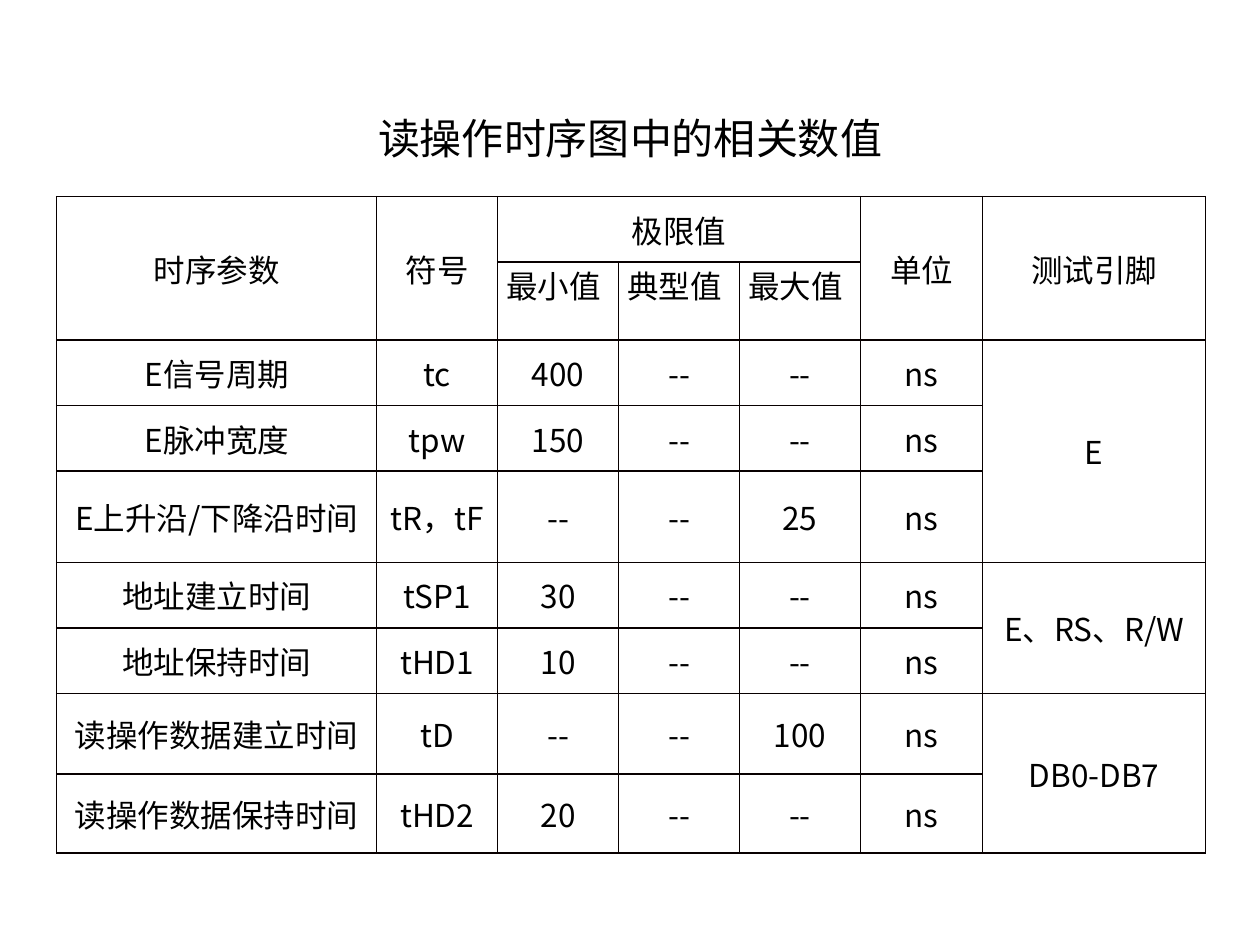
"""Build a slide with the timing values of the read operation."""
from dataclasses import dataclass

from lxml import etree
from pptx import Presentation
from pptx.dml.color import RGBColor
from pptx.enum.text import MSO_ANCHOR, PP_ALIGN
from pptx.oxml.ns import qn
from pptx.util import Inches, Pt

LEFT, CENTER = PP_ALIGN.LEFT, PP_ALIGN.CENTER
TOP, MIDDLE = MSO_ANCHOR.TOP, MSO_ANCHOR.MIDDLE
TITLE_ONLY = 5

TITLE = "读操作时序图中的相关数值"
HEADER = [
    ("时序参数", "符号", "极限值", "", "", "单位", "测试引脚"),
    ("", "", "最小值", "典型值", "最大值", "", ""),
]
PARAMETERS = [
    ("E信号周期", "tc", "400", "--", "--"),
    ("E脉冲宽度", "tpw", "150", "--", "--"),
    ("E上升沿/下降沿时间", "tR，tF", "--", "--", "25"),
    ("地址建立时间", "tSP1", "30", "--", "--"),
    ("地址保持时间", "tHD1", "10", "--", "--"),
    ("读操作数据建立时间", "tD", "--", "--", "100"),
    ("读操作数据保持时间", "tHD2", "20", "--", "--"),
]
UNIT = "ns"
PIN_GROUPS = [("E", 3), ("E、RS、R/W", 2), ("DB0-DB7", 2)]
COLUMN_WIDTHS = [2.54, 0.96, 0.96, 0.96, 0.96, 0.97, 1.77]
ROW_HEIGHTS = [0.52, 0.62, 0.52, 0.52, 0.64, 0.52, 0.52, 0.64, 0.63]
LIMIT_COLUMNS = (2, 3, 4)
PIN_COLUMN = 6


@dataclass(frozen=True)
class Theme:
    text: RGBColor = RGBColor(0, 0, 0)
    border: str = "080000"
    border_width: Pt = Pt(1)
    title_font: str = "Arial"
    table_font: str = "Noto Sans CJK SC"
    title_size: Pt = Pt(24)
    table_size: Pt = Pt(18)


THEME = Theme()


def style_paragraph(paragraph, font_name, size, alignment):
    paragraph.alignment = alignment
    font = paragraph.font
    font.name, font.size, font.bold = font_name, size, False
    font.color.rgb = THEME.text


def set_east_asian_font(paragraph, font_name):
    properties = paragraph._p.get_or_add_pPr().get_or_add_defRPr()
    etree.SubElement(properties, qn("a:ea"), typeface=font_name)


def set_borders(cell):
    properties = cell._tc.get_or_add_tcPr()
    for index, side in enumerate(("lnL", "lnR", "lnT", "lnB")):
        line = etree.Element(qn(f"a:{side}"), w=str(THEME.border_width))
        fill = etree.SubElement(line, qn("a:solidFill"))
        etree.SubElement(fill, qn("a:srgbClr"), val=THEME.border)
        properties.insert(index, line)


def fill_cell(cell, text, is_limit_name):
    cell.fill.background()
    set_borders(cell)
    cell.margin_left = cell.margin_right = Inches(0.07)
    cell.margin_top = cell.margin_bottom = 0
    cell.vertical_anchor = TOP if is_limit_name else MIDDLE
    cell.text = text
    paragraph = cell.text_frame.paragraphs[0]
    alignment = LEFT if is_limit_name else CENTER
    style_paragraph(paragraph, THEME.table_font, THEME.table_size, alignment)
    set_east_asian_font(paragraph, THEME.table_font)


def add_title(slide):
    title = slide.shapes.title
    title.left, title.top = Inches(2.9), Inches(0.84)
    title.width, title.height = Inches(4.31), Inches(0.5)
    frame = title.text_frame
    frame.text = TITLE
    frame.word_wrap = True
    frame.vertical_anchor = MIDDLE
    style_paragraph(frame.paragraphs[0], THEME.title_font, THEME.title_size, LEFT)


def add_timing_table(slide):
    pins = [pin if index == 0 else "" for pin, count in PIN_GROUPS for index in range(count)]
    rows = HEADER + [(*values, UNIT, pin) for values, pin in zip(PARAMETERS, pins)]
    table = slide.shapes.add_table(
        len(rows), len(COLUMN_WIDTHS), Inches(0.45), Inches(1.56),
        Inches(sum(COLUMN_WIDTHS)), Inches(sum(ROW_HEIGHTS)),
    ).table
    table.first_row = table.horz_banding = False
    for column, width in zip(table.columns, COLUMN_WIDTHS):
        column.width = Inches(width)
    for row, height in zip(table.rows, ROW_HEIGHTS):
        row.height = Inches(height)
    for row_index, row in enumerate(rows):
        for column_index, text in enumerate(row):
            is_limit_name = row_index == 1 and column_index in LIMIT_COLUMNS
            fill_cell(table.cell(row_index, column_index), text, is_limit_name)

    table.cell(0, LIMIT_COLUMNS[0]).merge(table.cell(0, LIMIT_COLUMNS[-1]))
    for column_index in range(len(COLUMN_WIDTHS)):
        if column_index not in LIMIT_COLUMNS:
            table.cell(0, column_index).merge(table.cell(1, column_index))
    first = len(HEADER)
    for _, count in PIN_GROUPS:
        table.cell(first, PIN_COLUMN).merge(table.cell(first + count - 1, PIN_COLUMN))
        first += count


presentation = Presentation()
presentation.slide_width, presentation.slide_height = Inches(10), Inches(7.5)
slide = presentation.slides.add_slide(presentation.slide_layouts[TITLE_ONLY])
add_title(slide)
add_timing_table(slide)
presentation.save("out.pptx")
